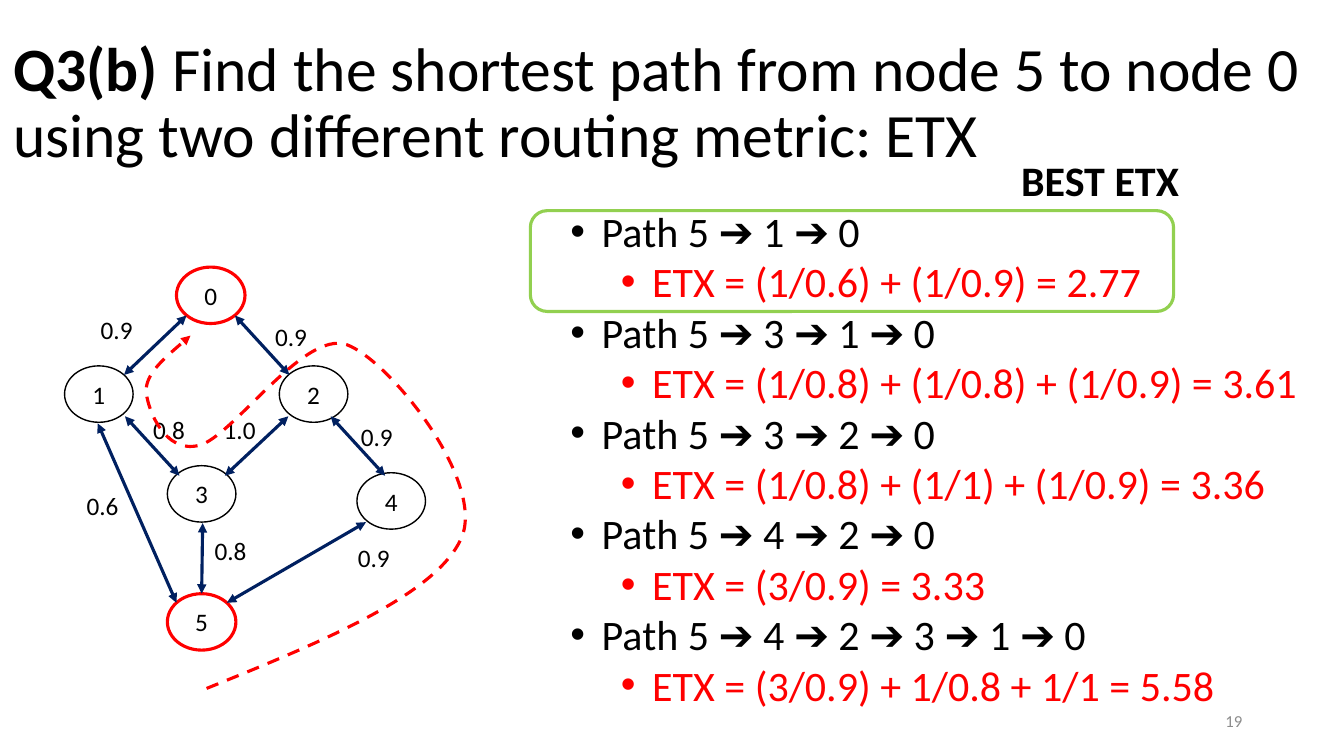
"""Build the slide comparing ETX path costs from node 5 to node 0."""
from dataclasses import dataclass
from typing import Any

from lxml import etree
from pptx import Presentation
from pptx.dml.color import RGBColor
from pptx.enum.dml import MSO_LINE
from pptx.enum.shapes import MSO_CONNECTOR, MSO_SHAPE
from pptx.enum.text import MSO_ANCHOR, MSO_AUTO_SIZE, PP_ALIGN
from pptx.oxml.ns import qn
from pptx.util import Emu, Pt

PX = 9144
TITLE_ONLY = 5
ELLIPSE, ROUNDED = MSO_SHAPE.OVAL, MSO_SHAPE.ROUNDED_RECTANGLE
STRAIGHT = MSO_CONNECTOR.STRAIGHT
DASH = MSO_LINE.DASH
TOP, MIDDLE = MSO_ANCHOR.TOP, MSO_ANCHOR.MIDDLE
LEFT, CENTER, RIGHT = PP_ALIGN.LEFT, PP_ALIGN.CENTER, PP_ALIGN.RIGHT
FIXED, GROW = MSO_AUTO_SIZE.NONE, MSO_AUTO_SIZE.SHAPE_TO_FIT_TEXT


@dataclass(frozen=True)
class Theme:
    font: str = "Calibri"
    black: str = "000000"
    white: str = "FFFFFF"
    red: str = "FF0000"
    navy: str = "002060"
    green: str = "92D050"
    gray: str = "8C8C8C"
    title: int = 44
    body: int = 30
    label: int = 18
    page: int = 12
    thin: float = 1
    thick: float = 2.25


@dataclass(frozen=True)
class Node:
    name: str
    left: int
    top: int
    endpoint: bool = False


@dataclass(frozen=True)
class Edge:
    start: tuple[int, int]
    end: tuple[int, int]
    quality: str
    label_at: tuple[int, int]


@dataclass(frozen=True)
class Route:
    hops: str
    cost: str


THEME = Theme()
NODE_SIZE = (68, 56)
LABEL_SIZE = (52, 40)
NODES = [
    Node("0", 175, 265, True),
    Node("1", 64, 363),
    Node("2", 277, 363),
    Node("3", 166, 462),
    Node("4", 354, 469),
    Node("5", 166, 589, True),
]
EDGES = [
    Edge((185, 313), (123, 372), "0.9", (90, 307)),
    Edge((286, 413), (223, 472), "1.0", (212, 406)),
    Edge((233, 313), (287, 372), "0.9", (263, 314)),
    Edge((328, 413), (382, 472), "0.9", (348, 413)),
    Edge((201, 519), (200, 589), "0.8", (203, 526)),
    Edge((124, 413), (178, 472), "0.8", (142, 406)),
    Edge((363, 518), (225, 598), "0.9", (345, 533)),
    Edge((97, 420), (175, 598), "0.6", (76, 482)),
]
ROUTES = [
    Route("5 ➔ 1 ➔ 0", "(1/0.6) + (1/0.9) = 2.77"),
    Route("5 ➔ 3 ➔ 1 ➔ 0", "(1/0.8) + (1/0.8) + (1/0.9) = 3.61"),
    Route("5 ➔ 3 ➔ 2 ➔ 0", "(1/0.8) + (1/1) + (1/0.9) = 3.36"),
    Route("5 ➔ 4 ➔ 2 ➔ 0", "(3/0.9) = 3.33"),
    Route("5 ➔ 4 ➔ 2 ➔ 3 ➔ 1 ➔ 0", "(3/0.9) + 1/0.8 + 1/1 = 5.58"),
]
TRAIL_START = (205, 683)
TRAIL_CURVES = [
    ((319, 637), (434, 590), (458, 533)),
    ((481, 477), (387, 358), (344, 342)),
    ((301, 327), (230, 435), (197, 442)),
    ((164, 450), (147, 408), (145, 389)),
    ((144, 371), (167, 352), (189, 333)),
]


def px(*lengths: int) -> list[Emu]:
    """Turn px lengths into EMU."""
    return [Emu(length * PX) for length in lengths]


def apply(target: Any, formats: dict[str, Any]) -> None:
    """Set every named attribute on the target."""
    for name, value in formats.items():
        setattr(target, name, value)


def add_run(paragraph: Any, text: str, size: int, color: str = THEME.black, bold: bool = False) -> None:
    """Append a formatted run."""
    run = paragraph.add_run()
    run.text = text
    apply(run.font, {"name": THEME.font, "size": Pt(size), "bold": bold})
    run.font.color.rgb = RGBColor.from_string(color)


def set_line(line: Any, color: str, width: float) -> None:
    """Colour a line and set its width."""
    line.color.rgb = RGBColor.from_string(color)
    line.width = Pt(width)


def add_arrowheads(shape: Any, *ends: str) -> None:
    """Put triangles on the named line ends."""
    for end in ends:
        etree.SubElement(shape.line._get_or_add_ln(), qn(f"a:{end}"), type="triangle")


def add_text_box(shapes: Any, box: tuple[int, ...], wrap: bool = False, anchor: Any = TOP,
                 fit: Any = GROW) -> Any:
    """Add an empty text box and return its frame."""
    frame = shapes.add_textbox(*px(*box)).text_frame
    apply(frame, {"word_wrap": wrap, "vertical_anchor": anchor, "auto_size": fit})
    return frame


def add_node(shapes: Any, node: Node) -> None:
    """Draw one network node."""
    shape = shapes.add_shape(ELLIPSE, *px(node.left, node.top, *NODE_SIZE))
    shape.shadow.inherit = False
    shape.fill.solid()
    shape.fill.fore_color.rgb = RGBColor.from_string(THEME.white)
    outline = (THEME.red, THEME.thick) if node.endpoint else (THEME.black, THEME.thin)
    set_line(shape.line, *outline)
    shape.text_frame.vertical_anchor = MIDDLE
    paragraph = shape.text_frame.paragraphs[0]
    paragraph.alignment = CENTER
    add_run(paragraph, node.name, THEME.label)


def add_edge(shapes: Any, edge: Edge) -> None:
    """Draw one two-way link with its quality."""
    connector = shapes.add_connector(STRAIGHT, *px(*edge.start, *edge.end))
    set_line(connector.line, THEME.navy, THEME.thick)
    add_arrowheads(connector, "headEnd", "tailEnd")
    etree.SubElement(connector._element.spPr, qn("a:effectLst"))
    frame = add_text_box(shapes, edge.label_at + LABEL_SIZE)
    add_run(frame.paragraphs[0], edge.quality, THEME.label)


def add_bullet(paragraph: Any, text: str, level: int, color: str) -> None:
    """Write a bulleted line at a level."""
    paragraph.level = level
    properties = paragraph._p.get_or_add_pPr()
    properties.set("marL", str((31 + 50 * level) * PX))
    properties.set("indent", str(-31 * PX))
    etree.SubElement(properties, qn("a:buFont"), typeface="Arial")
    etree.SubElement(properties, qn("a:buChar"), char="•")
    add_run(paragraph, text, THEME.body, color)


def add_routes(shapes: Any) -> None:
    """List each path with its ETX."""
    frame = add_text_box(shapes, (556, 199, 775, 515), wrap=True)
    lines = [line for route in ROUTES for line in (
        (f"Path {route.hops}", 0, THEME.black), (f"ETX = {route.cost}", 1, THEME.red))]
    for index, line in enumerate(lines):
        paragraph = frame.add_paragraph() if index else frame.paragraphs[0]
        add_bullet(paragraph, *line)


def add_trail(shapes: Any) -> None:
    """Draw the dashed curve through the network."""
    builder = shapes.build_freeform(*TRAIL_START, scale=PX)
    stops = [curve[-1] for curve in TRAIL_CURVES]
    builder.add_line_segments(stops, close=False)
    trail = builder.convert_to_shape()
    left, top = (min(values) for values in zip(TRAIL_START, *stops))
    segments = list(trail._element.iter(qn("a:lnTo")))
    for segment, curve in zip(segments, TRAIL_CURVES):
        bezier = etree.Element(qn("a:cubicBezTo"))
        for x, y in curve:
            etree.SubElement(bezier, qn("a:pt"), x=str(x - left), y=str(y - top))
        segment.getparent().replace(segment, bezier)
    trail.shadow.inherit = False
    trail.fill.background()
    set_line(trail.line, THEME.red, THEME.thick)
    trail.line.dash_style = DASH
    add_arrowheads(trail, "tailEnd")


def add_title(slide: Any) -> None:
    """Place and fill the title placeholder."""
    title = slide.shapes.title
    apply(title, dict(zip(("left", "top", "width", "height"), px(3, 0, 1330, 207))))
    apply(title.text_frame, {"vertical_anchor": MIDDLE, "auto_size": FIXED, "word_wrap": True})
    paragraph = title.text_frame.paragraphs[0]
    apply(paragraph, {"alignment": LEFT, "line_spacing": 0.9})
    add_run(paragraph, "Q3(b) ", THEME.title, bold=True)
    add_run(paragraph, "Find the shortest path from node 5 to node 0 "
            "using two different routing metric: ETX", THEME.title)


def add_best_mark(shapes: Any) -> None:
    """Frame the best path and caption it."""
    frame = shapes.add_shape(ROUNDED, *px(526, 209, 638, 100))
    frame.shadow.inherit = False
    frame.fill.background()
    set_line(frame.line, THEME.green, THEME.thick)
    caption = add_text_box(shapes, (1003, 148, 178, 61))
    add_run(caption.paragraphs[0], "BEST ETX", THEME.body, bold=True)


def main() -> None:
    """Build and save the presentation."""
    presentation = Presentation()
    presentation.slide_width, presentation.slide_height = px(1333, 750)
    slide = presentation.slides.add_slide(presentation.slide_layouts[TITLE_ONLY])
    add_title(slide)
    page = add_text_box(slide.shapes, (942, 695, 300, 40), True, MIDDLE, FIXED).paragraphs[0]
    page.alignment = RIGHT
    add_run(page, "19", THEME.page, THEME.gray)
    network = slide.shapes.add_group_shape().shapes
    for node in NODES:
        add_node(network, node)
    for edge in EDGES:
        add_edge(network, edge)
    add_routes(slide.shapes)
    add_trail(slide.shapes)
    add_best_mark(slide.shapes)
    presentation.save("out.pptx")


if __name__ == "__main__":
    main()
